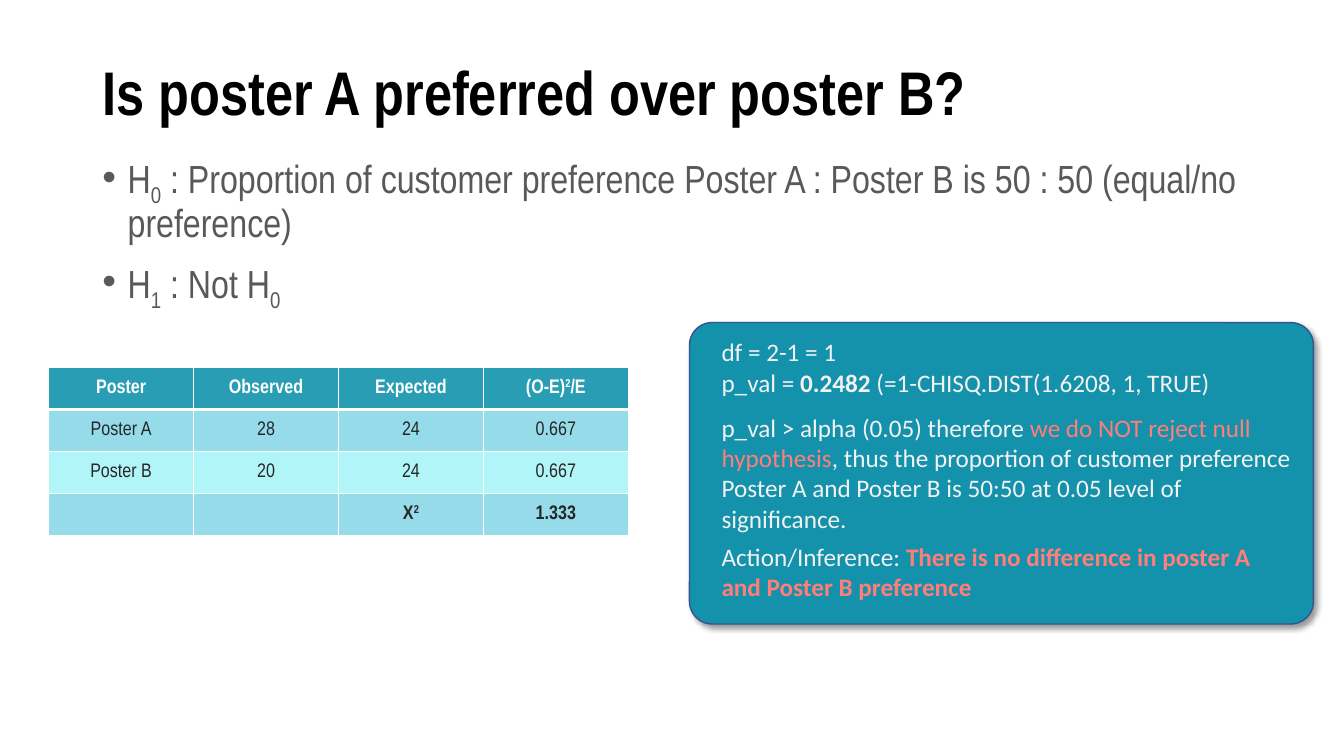
from lxml import etree
from pptx import Presentation
from pptx.dml.color import RGBColor
from pptx.enum import shapes, text
from pptx.oxml.ns import qn
from pptx.util import Pt

COLORS = {
    "title": "000000", "body": "595959", "white": "FFFFFF", "cell": "262626",
    "header": "299DB4", "band1": "95DBE9", "band2": "B1F5F8",
    "panel": "1492AB", "outline": "325491", "note": "F2F2F2",
    "accent": "FF7E79", "shadow": "000000",
}
BASELINE = {"sub": "-25000", "sup": "30000"}
NARROW, CALIBRI = "Arial Narrow", "Calibri"

# Content: a paragraph is a list of (text, styles) runs
TITLE = [("Is poster A preferred over poster B?", "bold")]
HYPOTHESES = [
    [("H", ""), ("0", "sub"),
     (" : Proportion of customer preference Poster A : Poster B is 50 : 50 "
      "(equal/no preference)", "")],
    [("H", ""), ("1", "sub"), (" : Not H", ""), ("0", "sub")],
]
TABLE = [
    [[("Poster", "bold")], [("Observed", "bold")], [("Expected", "bold")],
     [("(O-E)", "bold"), ("2", "bold sup"), ("/E", "bold")]],
    [[("Poster A", "")], [("28", "")], [("24", "")], [("0.667", "")]],
    [[("Poster B", "")], [("20", "")], [("24", "")], [("0.667", "")]],
    [[], [], [("X", "bold"), ("2", "bold sup")], [("1.333", "bold")]],
]
# Each note: box (left, top, width, height), paragraphs
NOTES = [
    ((508.3, 236.9, 391.7, 51), [
        [("df = 2-1 = 1", "")],
        [("p_val = ", ""), ("0.2482", "bold"),
         (" (=1-CHISQ.DIST(1.6208, 1, TRUE)", "")]]),
    ((508.3, 290.9, 429.8, 94.3), [
        [("p_val > alpha (0.05) therefore ", ""),
         ("we do NOT reject null hypothesis", "accent"),
         (", thus the proportion of customer preference Poster A and Poster B "
          "is 50:50 at 0.05 level of significance.", "")]]),
    ((508.3, 383, 414, 51), [
        [("Action/Inference: ", ""),
         ("There is no difference in poster A and Poster B preference",
          "accent bold")]]),
]
TITLE_BOX = (66, 28.8, 828, 78.5)
BODY_BOX = (66, 107.3, 828, 379.4)
TABLE_BOX = (34.8, 262.4, 414, 120.4)
PANEL_BOX = (492.5, 230.4, 445.7, 215.3)


def rgb(name):
    return RGBColor.from_string(COLORS[name])


def place(sp, box):
    sp.left, sp.top, sp.width, sp.height = map(Pt, box)


def write(p, runs, font, size, color):
    p.font.name, p.font.size = font, Pt(size)
    for words, styles in runs:
        styles = styles.split()
        r = p.add_run()
        r.text = words
        r.font.bold = "bold" in styles
        r.font.color.rgb = rgb("accent" if "accent" in styles else color)
        for key in BASELINE.keys() & set(styles):
            r.font._element.set("baseline", BASELINE[key])


def fill_frame(tf, paragraphs, font, size, color):
    for i, runs in enumerate(paragraphs):
        p = tf.add_paragraph() if i else tf.paragraphs[0]
        write(p, runs, font, size, color)


def add_color(parent, name):
    return etree.SubElement(parent, qn("a:srgbClr"), val=COLORS[name])


def set_borders(cell, widths):
    tcPr = cell._tc.get_or_add_tcPr()
    for side, width in zip("LRTB", widths):
        ln = etree.SubElement(tcPr, qn("a:ln" + side), w=str(Pt(width)))
        add_color(etree.SubElement(ln, qn("a:solidFill")), "white")


prs = Presentation()
prs.slide_width, prs.slide_height = Pt(960), Pt(540)
s = prs.slides.add_slide(prs.slide_layouts[1])

# Title and hypotheses
title, body = s.shapes.title, s.placeholders[1]
place(title, TITLE_BOX)
place(body, BODY_BOX)
for sp, paragraphs, size, color in ((title, [TITLE], 44, "title"),
                                    (body, HYPOTHESES, 28, "body")):
    tf = sp.text_frame
    tf.auto_size = text.MSO_AUTO_SIZE.NONE
    fill_frame(tf, paragraphs, NARROW, size, color)
    for p in tf.paragraphs:
        p.alignment = text.PP_ALIGN.LEFT
        p.line_spacing = 0.9
title.text_frame.vertical_anchor = text.MSO_ANCHOR.MIDDLE
for p in body.text_frame.paragraphs:
    p.space_before = Pt(10)
    pPr = p._p.get_or_add_pPr()
    pPr.set("marL", str(Pt(18)))
    pPr.set("indent", str(Pt(-18)))

# Chi-square table
rows, cols = len(TABLE), len(TABLE[0])
table = s.shapes.add_table(rows, cols, *map(Pt, TABLE_BOX)).table
for i, row in enumerate(TABLE):
    fill = "header" if i == 0 else "band1" if i % 2 else "band2"
    for j, runs in enumerate(row):
        cell = table.cell(i, j)
        cell.margin_left = cell.margin_right = 0
        cell.margin_top = cell.margin_bottom = 0
        cell.vertical_anchor = text.MSO_ANCHOR.MIDDLE
        set_borders(cell, (1, 1, 3 if i == 1 else 1, 3 if i == 0 else 1))
        cell.fill.solid()
        cell.fill.fore_color.rgb = rgb(fill)
        p = cell.text_frame.paragraphs[0]
        p.alignment = text.PP_ALIGN.CENTER
        write(p, runs, NARROW, 14, "cell" if i else "white")

# Conclusion panel with soft shadow
panel = s.shapes.add_shape(shapes.MSO_SHAPE.ROUNDED_RECTANGLE,
                           *map(Pt, PANEL_BOX))
panel.adjustments[0] = 0.075
panel.fill.solid()
panel.fill.fore_color.rgb = rgb("panel")
panel.line.color.rgb = rgb("outline")
panel.line.width = Pt(1)
panel.shadow.inherit = False
effects = panel._element.spPr.find(qn("a:effectLst"))
shadow = etree.SubElement(effects, qn("a:outerShdw"), blurRad=str(Pt(4)),
                          dist=str(Pt(3)), dir="2700000", algn="tl",
                          rotWithShape="0")
etree.SubElement(add_color(shadow, "shadow"), qn("a:alpha"), val="40000")

# Notes on the panel
for box, paragraphs in NOTES:
    tf = s.shapes.add_textbox(*map(Pt, box)).text_frame
    tf.word_wrap = True
    tf.auto_size = text.MSO_AUTO_SIZE.SHAPE_TO_FIT_TEXT
    fill_frame(tf, paragraphs, CALIBRI, 18, "note")

prs.save("out.pptx")
